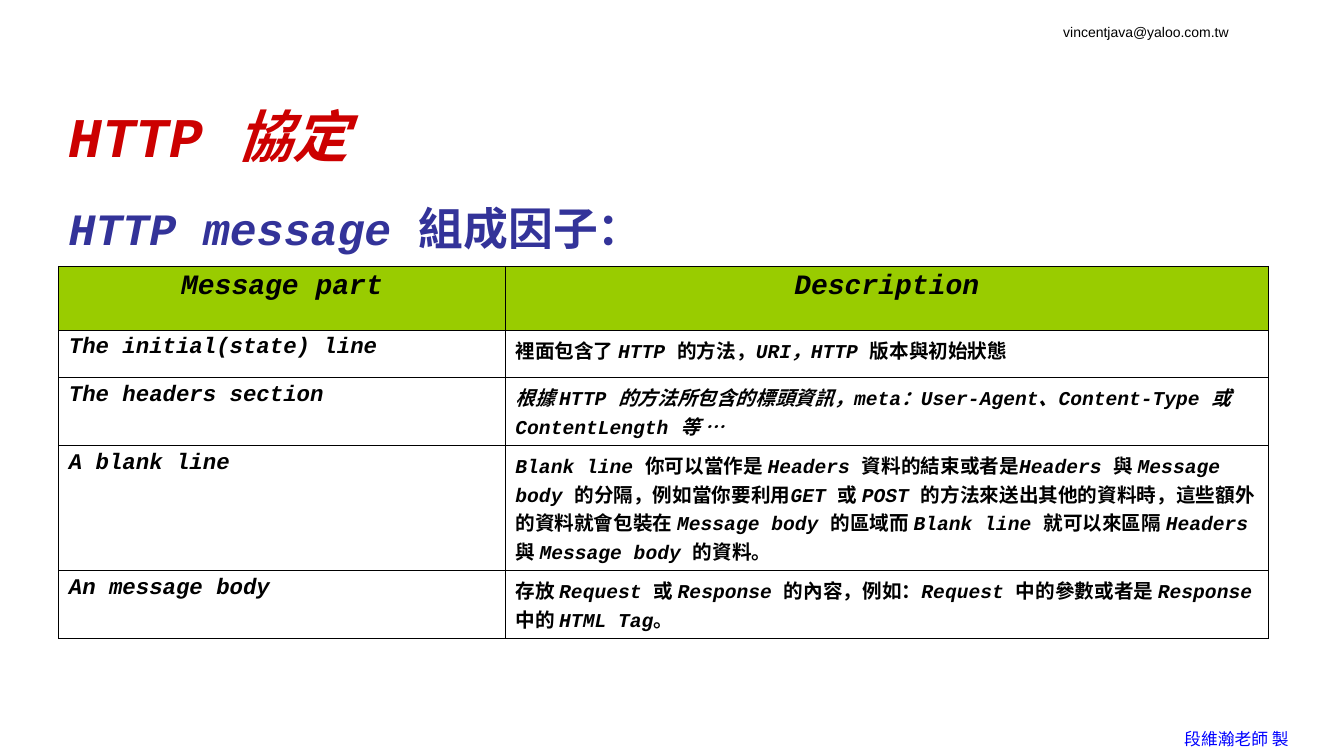
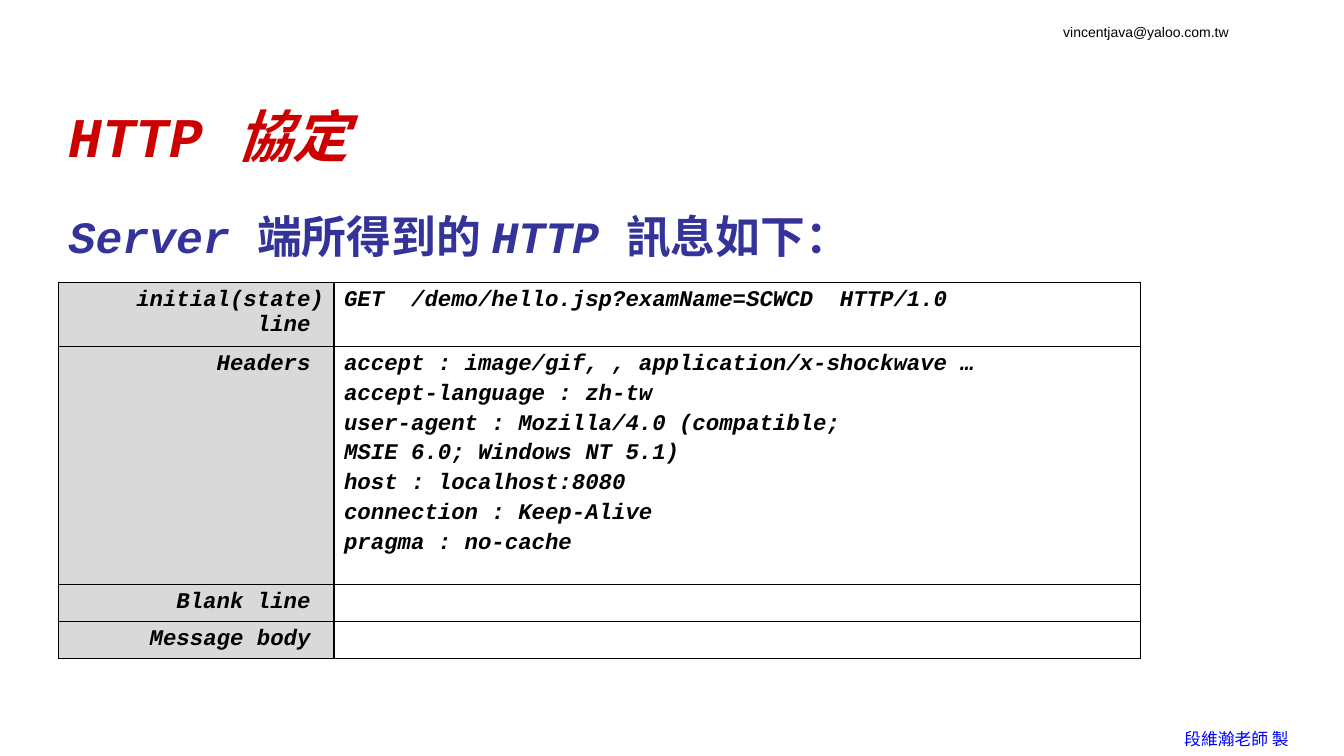
from lxml import etree
from pptx import Presentation
from pptx import util as u
from pptx.dml.color import RGBColor
from pptx.enum import text as t
from pptx.oxml import ns

Pt = u.Pt
COLORS = {"title": "CC0000", "heading": "333399", "text": "000000",
          "author": "0000FF", "header": "99CC00", "label": "D9D9D9"}
MONO, SANS, CJK = "Courier New", "Arial", "Noto Sans CJK TC"
LEFT, WIDTH = 42, 864
ALIGN = t.PP_ALIGN

PARTS_ROWS = [
    ("Message part", "Description"),
    ("The initial(state) line",
     "*裡面包含了 *HTTP *的方法，*URI，HTTP *版本與初始狀態"),
    ("The headers section",
     "根據 HTTP 的方法所包含的標頭資訊，meta：User-Agent、Content-Type 或 ContentLength 等 …"),
    ("A blank line",
     "Blank line *你可以當作是 *Headers *資料的結束或者是*Headers *與 *Message body "
     "*的分隔，例如當你要利用*GET *或 *POST *的方法來送出其他的資料時，這些額外的資料就會包裝在 "
     "*Message body *的區域而 *Blank line *就可以來區隔 *Headers *與 *Message body *的資料。"),
    ("An message body",
     "*存放 *Request *或 *Response *的內容，例如：*Request *中的參數或者是 "
     "*Response *中的 *HTML Tag*。"),
]
REQUEST_ROWS = [
    ("initial(state)\nline ", ["GET  /demo/hello.jsp?examName=SCWCD  HTTP/1.0"]),
    ("Headers ", ["accept : image/gif, , application/x-shockwave …",
                  "accept-language : zh-tw",
                  "user-agent : Mozilla/4.0 (compatible;",
                  "MSIE 6.0; Windows NT 5.1)",
                  "host : localhost:8080",
                  "connection : Keep-Alive",
                  "pragma : no-cache"]),
    ("Blank line ", []),
    ("Message body ", []),
]


def rgb(name):
    return RGBColor.from_string(COLORS[name])


def style_run(r, size, color, font):
    r.font.size, r.font.name = Pt(size), font
    r.font.color.rgb = rgb(color)
    ea = etree.SubElement(r.font._element, ns.qn("a:ea"))
    ea.set("typeface", CJK)


def write_emphasis(p, text, size, color="text", align=ALIGN.LEFT):
    """Write bold italic text; each asterisk switches italics off or on."""
    first, *rest = text.split("*")
    p.text = first
    p.alignment = align
    for r in p.runs:
        r.font.italic = True
    for i, part in enumerate(rest):
        if part:
            r = p.add_run()
            r.text = part
            r.font.italic = i % 2 == 1
    for r in p.runs:
        r.font.bold = True
        style_run(r, size, color, MONO)


def add_box(s, left, top, width, height, wrap=True):
    tf = s.shapes.add_textbox(Pt(left), Pt(top), Pt(width), Pt(height)).text_frame
    tf.word_wrap = wrap
    return tf


def add_label(s, box, text, size, color, font):
    p = add_box(s, *box, wrap=False).paragraphs[0]
    p.text = text
    style_run(p.runs[0], size, color, font)


def add_base_slide(prs, heading, heading_top):
    s = prs.slides.add_slide(prs.slide_layouts[6])
    add_label(s, (752.4, 13, 136.8, 19.4), "vincentjava@yaloo.com.tw", 10, "text", SANS)
    add_label(s, (838.8, 517, 90, 21.6), "段維瀚老師 製", 12, "author", CJK)
    tf = add_box(s, LEFT, 65.5, WIDTH, 62.6)
    tf.vertical_anchor = t.MSO_ANCHOR.MIDDLE
    write_emphasis(tf.paragraphs[0], "HTTP 協定", 40, "title")
    tf = add_box(s, LEFT, heading_top, 744.5, 46)
    write_emphasis(tf.paragraphs[0], heading, 32, "heading")
    return s


def add_borders(cell):
    tc_pr = cell._tc.get_or_add_tcPr()
    for side in ("lnL", "lnR", "lnT", "lnB"):
        ln = etree.SubElement(tc_pr, ns.qn("a:" + side), w=str(Pt(1)))
        fill = etree.SubElement(ln, ns.qn("a:solidFill"))
        etree.SubElement(fill, ns.qn("a:srgbClr"), val=COLORS["text"])


def add_grid(s, top, cols, rows):
    """Add a bordered, unfilled table from column widths and row heights."""
    frame = s.shapes.add_table(len(rows), len(cols), Pt(LEFT), Pt(top),
                               Pt(sum(cols)), Pt(sum(rows)))
    table = frame.table
    table.first_row = table.horz_banding = False
    for col, width in zip(table.columns, cols):
        col.width = Pt(width)
    for row, height in zip(table.rows, rows):
        row.height = Pt(height)
    for cell in table.iter_cells():
        add_borders(cell)
        cell.fill.background()
    return table


def fill_cell(cell, color):
    cell.fill.solid()
    cell.fill.fore_color.rgb = rgb(color)


def write_lines(cell, lines, size):
    tf = cell.text_frame
    for i, line in enumerate(lines):
        p = tf.add_paragraph() if i else tf.paragraphs[0]
        write_emphasis(p, line, size)
        if i:
            p.space_before = Pt(size * 0.2)
    if not lines:
        tf.paragraphs[0]._p.get_or_add_endParaRPr().set("sz", str(size * 100))


def add_parts_slide(prs):
    s = add_base_slide(prs, "HTTP message *組成因子：", 139.7)
    table = add_grid(s, 190.3, (319, 545), (45.6, 34, 48.4, 89.3, 48.6))
    for i, row in enumerate(PARTS_ROWS):
        for j, text in enumerate(row):
            cell = table.cell(i, j)
            p = cell.text_frame.paragraphs[0]
            if i == 0:
                fill_cell(cell, "header")
                write_emphasis(p, text, 20, align=ALIGN.CENTER)
            else:
                write_emphasis(p, text, 14 if j else 16)


def add_request_slide(prs):
    s = add_base_slide(prs, "Server *端所得到的 *HTTP *訊息如下：", 145.4)
    table = add_grid(s, 202, (196.6, 576), (43.6, 170, 26.2, 26.2))
    for i, (label, lines) in enumerate(REQUEST_ROWS):
        cell = table.cell(i, 0)
        fill_cell(cell, "label")
        write_emphasis(cell.text_frame.paragraphs[0], label, 16, align=ALIGN.RIGHT)
        write_lines(table.cell(i, 1), lines, 16)


def main():
    prs = Presentation()
    prs.slide_width, prs.slide_height = Pt(960), Pt(540)
    add_parts_slide(prs)
    add_request_slide(prs)
    prs.save("out.pptx")


if __name__ == "__main__":
    main()
